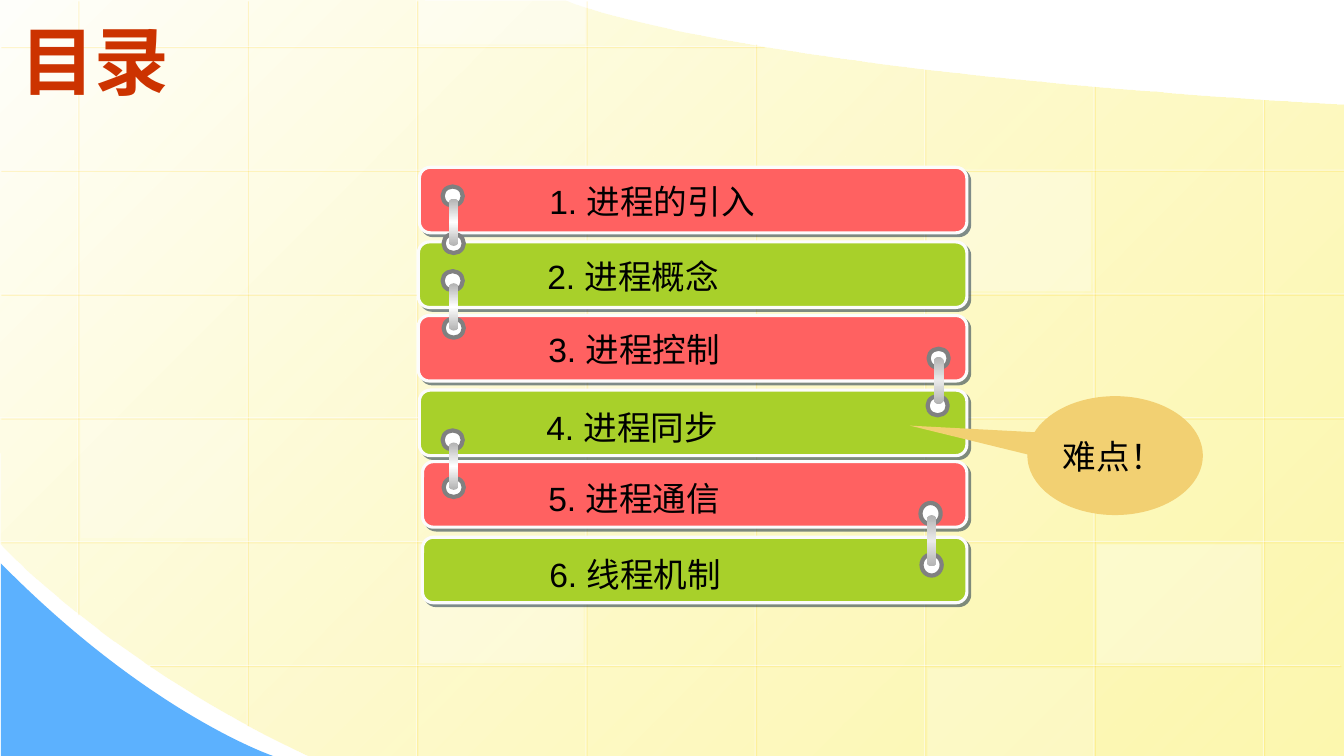
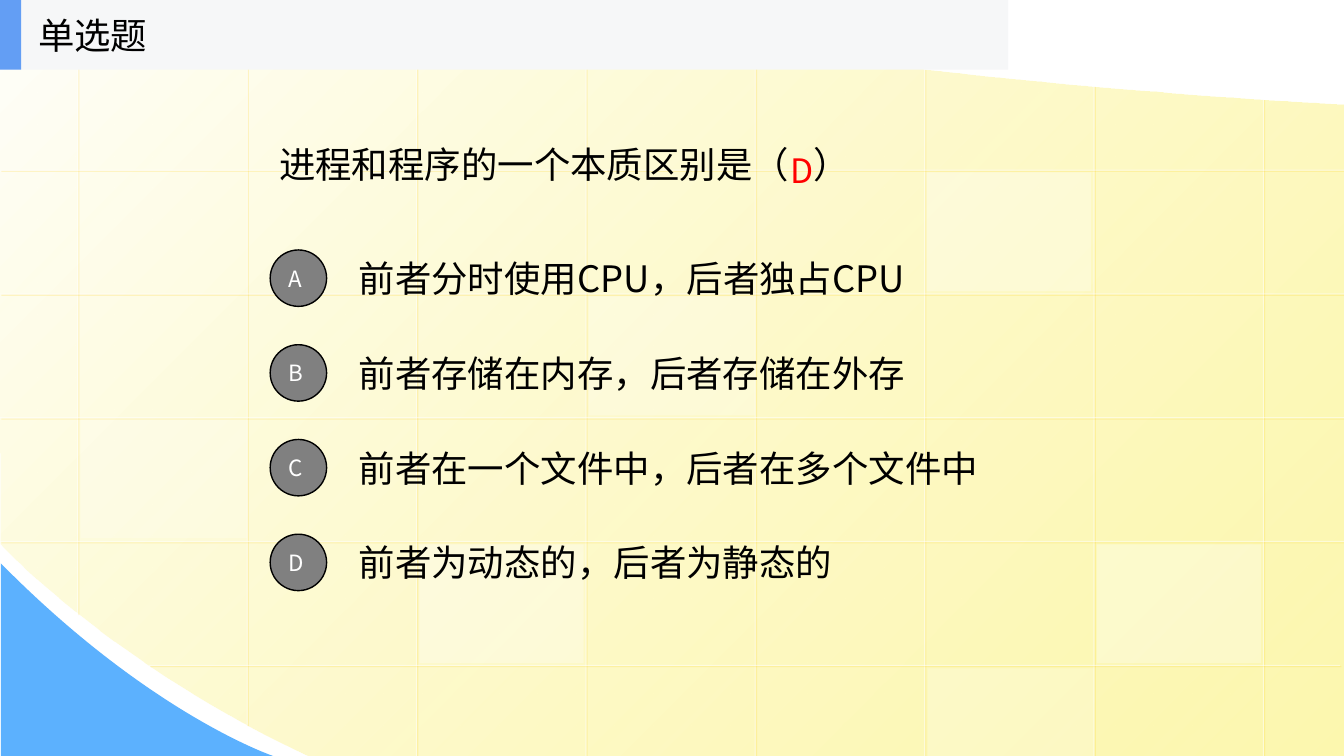
from pptx import Presentation, util as u
from pptx.dml.color import RGBColor
from pptx.enum import shapes, text
from pptx.oxml import parse_xml
from pptx.oxml.ns import nsdecls, qn

# Shared look
CJK, LATIN = "Noto Sans CJK SC", "Arial"
BLACK, WHITE = "000000", "FFFFFF"
GRID_SHADOW = ("FFCC00", 34, 1.4)
BAR_SHADOW = ("001D3A", 50, 2.8)
RED, GREEN, GREY = "FF6161", "A8D02A", "808080"
SHAPE = shapes.MSO_SHAPE

# Backdrop: each outline is a start point, then line ends or Bezier triples
PAPER = [(13.33, 1.04),
         [(13.34, 4.27), (13.34, 7.5), (13.34, 7.5)],
         [(13.34, 7.5), (8.2, 7.5), (3.07, 7.5)],
         [(1.15, 6.61), (-0.01, 5.39), (0, 5.39)],
         [(-0.01, -0.01)], [(5.61, 0.01)],
         [(5.61, 0.01), (7.15, 0.69), (13.33, 1.04)]]
CORNER = [(0.01, 5.59), [(0.01, 6.55), (0.01, 7.5), (0.01, 7.5)], [(2.71, 7.5)],
          [(2.71, 7.5), (1.49, 7.09), (0.01, 5.59)]]
COLUMN_SPANS = [(0, 6.09), (0, 7.19), (0, 7.5), (0, 7.52),
                (0.43, 7.52), (0.68, 7.52), (0.85, 7.52), (0.98, 7.52)]
ROW_SPANS = [(7.57, 0)] + [(13.35, 0)] * 4 + [(13.29, 1.48)]
TILES = [(5.84, 2.94, 1.65, 1.18, 25), (10.88, 5.4, 1.63, 1.18, 30),
         (0.8, 4.16, 1.65, 1.18, 20), (9.2, 6.63, 1.65, 0.87, 20),
         (4.15, 0, 1.65, 0.44, 40), (4.16, 5.4, 1.63, 1.18, 30),
         (9.19, 1.71, 1.63, 1.18, 30)]

# Contents slide: text, bar left, bar top, text left, text top
CHAPTERS = [("1. 进程的引入", 4.16, 1.66, 4.86, 1.74),
            ("2. 进程概念", 4.15, 2.4, 4.84, 2.48),
            ("3. 进程控制", 4.15, 3.13, 4.85, 3.21),
            ("4. 进程同步", 4.16, 3.87, 4.83, 3.98),
            ("5. 进程通信", 4.19, 4.58, 4.85, 4.69),
            ("6. 线程机制", 4.19, 5.33, 4.86, 5.44)]
BAR_RIGHT = 9.59
# Binder links: top ring left and top, lean, ring gap, ring height, clip drop, shine
LINKS = [(9.21, 3.46, -0.01, 0.47, 0.19, 0.08, "EAEAEA"),
         (9.13, 4.99, 0.01, 0.51, 0.21, 0.12, "EAEAEA"),
         (4.39, 2.69, 0.01, 0.47, 0.19, 0.12, WHITE),
         (4.39, 4.27, 0.01, 0.47, 0.19, 0.12, WHITE),
         (4.39, 1.85, 0.01, 0.47, 0.19, 0.12, WHITE)]

# Quiz slide
QUESTION, ANSWER = "进程和程序的一个本质区别是（   ）", "D"
OPTIONS = [("A", "前者分时使用CPU，后者独占CPU"),
           ("B", "前者存储在内存，后者存储在外存"),
           ("C", "前者在一个文件中，后者在多个文件中"),
           ("D", "前者为动态的，后者为静态的")]


def rgb(value):
    return RGBColor.from_string(value)


def color_xml(value, alpha=100):
    return (f'<a:srgbClr {nsdecls("a")} val="{value}">'
            f'<a:alpha val="{alpha * 1000}"/></a:srgbClr>')


def set_alpha(parent, alpha):
    """Make the solid colour inside parent see-through."""
    clr = parent.find(qn("a:solidFill"))[0]
    clr.getparent().replace(clr, parse_xml(color_xml(clr.get("val"), alpha)))


def set_gradient(sp, stops, angle):
    sp.fill.solid()
    parts = "".join(f'<a:gs pos="{pos * 1000}">{color_xml(c, a)}</a:gs>'
                    for pos, c, a in stops)
    sp_pr = sp.element.spPr
    sp_pr.replace(sp_pr.find(qn("a:solidFill")), parse_xml(
        f'<a:gradFill {nsdecls("a")} rotWithShape="1"><a:gsLst>{parts}</a:gsLst>'
        f'<a:lin ang="{angle * 60000}" scaled="0"/></a:gradFill>'))


def set_shadow(sp, shadow=None):
    """Write the effect list: empty, or one hard shadow to the lower right."""
    inner = ""
    if shadow:
        value, alpha, dist = shadow
        inner = (f'<a:outerShdw blurRad="0" dist="{u.Pt(dist)}" dir="2700000" '
                 f'algn="ctr" rotWithShape="0">{color_xml(value, alpha)}</a:outerShdw>')
    sp.element.spPr.append(parse_xml(
        f'<a:effectLst {nsdecls("a")}>{inner}</a:effectLst>'))


def style(sp, fill=None, alpha=None, gradient=None, angle=90, line=None,
          width=1, shadow=None):
    if gradient:
        set_gradient(sp, gradient, angle)
    else:
        sp.fill.solid()
        sp.fill.fore_color.rgb = rgb(fill)
        if alpha:
            set_alpha(sp.element.spPr, alpha)
    if line:
        sp.line.color.rgb = rgb(line)
        sp.line.width = u.Pt(width)
    else:
        sp.line.fill.background()
    set_shadow(sp, shadow)


def add_preset(s, kind, x, y, w, h, adj=(), **look):
    sp = s.shapes.add_shape(kind, *map(u.Inches, (x, y, w, h)))
    for i, value in enumerate(adj):
        sp.adjustments[i] = value
    style(sp, **look)
    return sp


def write(sp, words, size=24, font=CJK, color=BLACK, bold=False):
    tf = sp.text_frame
    tf.word_wrap = True
    tf.vertical_anchor = text.MSO_ANCHOR.MIDDLE
    p = tf.paragraphs[0]
    p.alignment = text.PP_ALIGN.LEFT
    r = p.add_run()
    r.text = words
    r.font.size, r.font.bold, r.font.name = u.Pt(size), bold, font
    r.font.color.rgb = rgb(color)
    r.font._element.find(qn("a:latin")).addnext(
        parse_xml(f'<a:ea {nsdecls("a")} typeface="{CJK}"/>'))
    return tf


def add_text(s, words, x, y, w, h, **fmt):
    return write(s.shapes.add_textbox(*map(u.Inches, (x, y, w, h))), words, **fmt)


def add_outline(s, outline, **look):
    """Draw a closed outline, then bend the segments that have control points."""
    start, *segments = [[tuple(map(u.Inches, pt)) for pt in seg]
                        for seg in ([outline[0]], *outline[1:])]
    fb = s.shapes.build_freeform(*start[0])
    fb.add_line_segments([seg[-1] for seg in segments], close=True)
    sp = fb.convert_to_shape()
    lines = list(sp.element.spPr.iter(qn("a:lnTo")))
    for ln, seg in zip(lines, segments):
        if len(seg) == 3:
            pts = "".join(f'<a:pt x="{x - sp.left}" y="{y - sp.top}"/>' for x, y in seg)
            ln.getparent().replace(ln, parse_xml(
                f'<a:cubicBezTo {nsdecls("a")}>{pts}</a:cubicBezTo>'))
    style(sp, **look)


def add_grid_line(s, *ends):
    ln = s.shapes.add_connector(shapes.MSO_CONNECTOR.STRAIGHT, *map(u.Inches, ends))
    ln.line.color.rgb = rgb(WHITE)
    ln.line.width = u.Pt(0.75)
    set_alpha(ln.element.spPr.find(qn("a:ln")), 50)
    set_shadow(ln, GRID_SHADOW)


def draw_backdrop(s):
    add_outline(s, PAPER, gradient=[(0, "FFFFFB", 100), (100, "FDF58D", 70)], angle=45)
    add_outline(s, CORNER, fill="5CB1FE")
    for i, (top, bottom) in enumerate(COLUMN_SPANS):
        x = 0.77 + 1.68 * i
        add_grid_line(s, x, top, x, bottom)
    for i, (right, left) in enumerate(ROW_SPANS):
        y = 0.46 + 6.14 / 5 * i
        add_grid_line(s, right, y, left, y)
    for *box, alpha in TILES:
        add_preset(s, SHAPE.RECTANGLE, *box, fill=WHITE, alpha=alpha)


def share_backdrop(s):
    """Draw the backdrop once and hand it to the layout of the slides."""
    layout = s.slide_layout
    for ph in list(layout.placeholders):
        ph.element.getparent().remove(ph.element)
    draw_backdrop(s)
    for sp in list(s.shapes):
        layout.shapes.element.append(sp.element)


def add_link(s, x, y, lean, gap, ring_h, drop, shine):
    for ring_x, ring_y in ((x, y), (x + lean, y + gap)):
        add_preset(s, SHAPE.OVAL, ring_x, ring_y, 0.2, ring_h,
                   fill=WHITE, line=GREY, width=3)
    add_preset(s, SHAPE.ROUNDED_RECTANGLE, min(x, x + lean) + 0.06, y + drop, 0.1, gap,
               adj=[0.5],
               gradient=[(0, "B2B2B2", 100), (50, shine, 100), (100, "B2B2B2", 100)])


def contents_slide(s):
    # Chapter bars
    for i, (words, x, y, text_x, text_y) in enumerate(CHAPTERS):
        add_preset(s, SHAPE.ROUNDED_RECTANGLE, x, y, BAR_RIGHT - x, 0.65, adj=[0.167],
                   fill=(RED, GREEN)[i % 2], line="FCFCFC", width=2.25,
                   shadow=BAR_SHADOW)
        tf = add_text(s, words, text_x, text_y, 4.07, 0.51, font=LATIN)
        p_pr = tf.paragraphs[0]._p.get_or_add_pPr()
        p_pr.set("marL", str(u.Inches(0.5)))
        p_pr.set("indent", str(u.Inches(-0.01)))
    # Binder links
    for link in LINKS:
        add_link(s, *link)
    # Callout and title
    callout = add_preset(s, SHAPE.OVAL_CALLOUT, 10.19, 3.93, 1.74, 1.18,
                         adj=[-1.17, -0.252], fill="F2D072")
    write(callout, "难点！", font=LATIN)
    tf = add_text(s, "目录", 0.07, 0.09, 12, 1.01, size=53.3, color="CC3300", bold=True)
    tf.margin_left = tf.margin_right = u.Inches(0.13)
    tf.margin_top = tf.margin_bottom = u.Inches(0.07)


def quiz_slide(s):
    # Question and options
    add_text(s, QUESTION, 2.67, 0.69, 8, 1.88, size=26)
    for i, (letter, words) in enumerate(OPTIONS):
        y = 2.41 + 0.94 * i
        add_text(s, words, 3.46, y, 7, 0.7, size=26)
        badge = add_preset(s, SHAPE.OVAL, 2.68, y + 0.07, 0.56, 0.56,
                           fill=GREY, line=BLACK)
        write(badge, letter, size=16, color=WHITE)
    # Header band
    add_preset(s, SHAPE.RECTANGLE, 0, 0, 10, 0.69, fill="F6F7F8")
    add_preset(s, SHAPE.RECTANGLE, 0, 0, 0.21, 0.69, fill="639EF4")
    add_text(s, "单选题", 0.28, 0, 2.08, 0.69, size=26)
    # Answer
    add_text(s, ANSWER, 7.74, 1.44, 1.05, 0.5, color="FF0000")


def main():
    prs = Presentation()
    prs.slide_width, prs.slide_height = u.Inches(13.33), u.Inches(7.5)
    blank = prs.slide_layouts[6]
    for i, build in enumerate((contents_slide, quiz_slide)):
        s = prs.slides.add_slide(blank)
        if i == 0:
            share_backdrop(s)
        build(s)
    prs.save("out.pptx")


if __name__ == "__main__":
    main()
